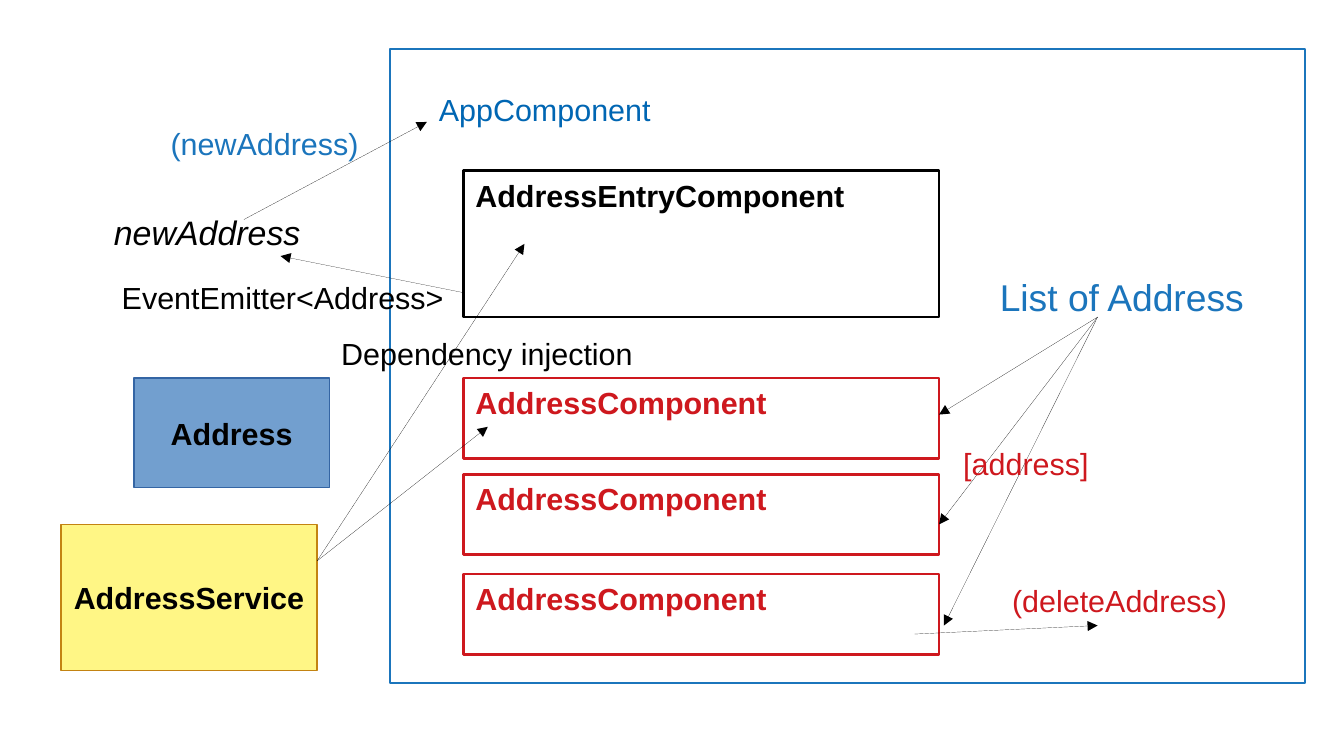
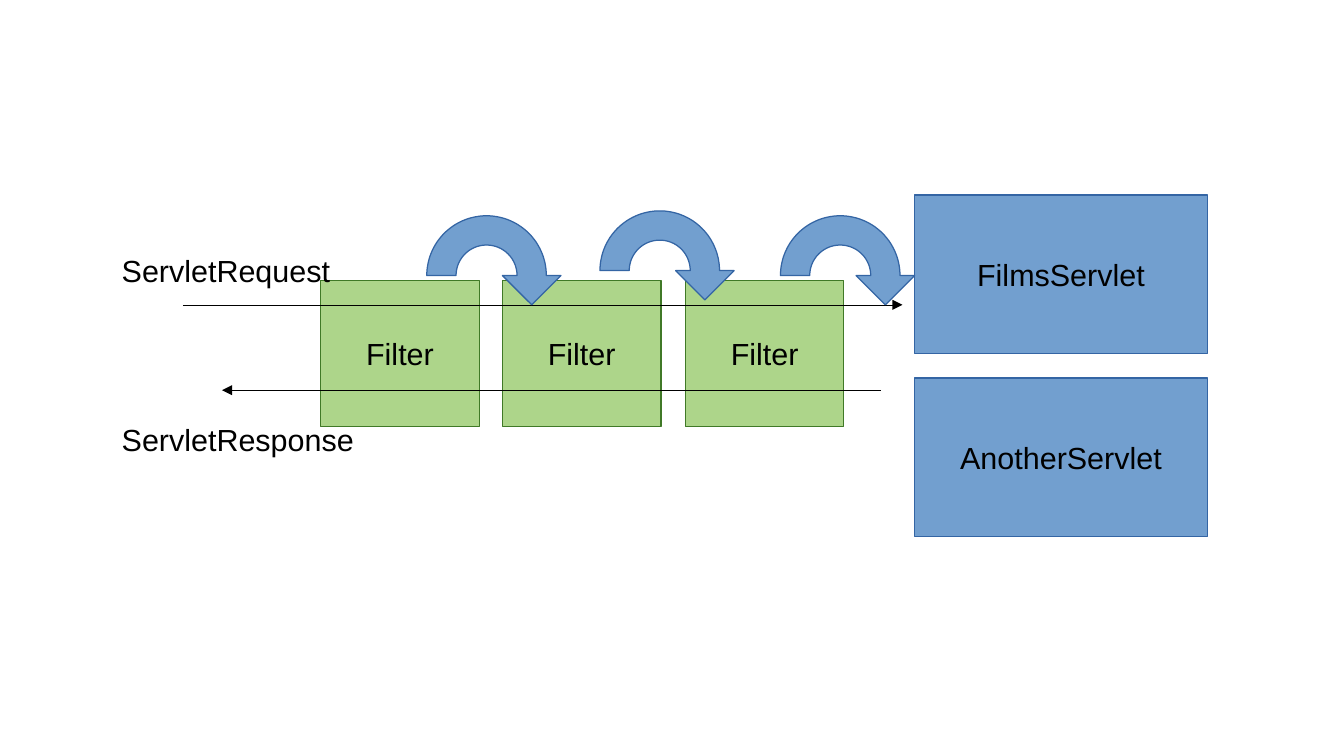
from math import cos, radians, sin

from lxml.etree import SubElement
from pptx import Presentation
from pptx.dml.color import RGBColor
from pptx.enum.shapes import MSO_CONNECTOR, MSO_SHAPE
from pptx.enum.text import MSO_ANCHOR, PP_ALIGN
from pptx.oxml.ns import qn
from pptx.util import Pt

PX = 9144
FONT = "Arial"
BLACK = RGBColor(0x00, 0x00, 0x00)
WHITE = RGBColor(0xFF, 0xFF, 0xFF)
BLUE = RGBColor(0x1B, 0x75, 0xBC)
DEEP_BLUE = RGBColor(0x00, 0x66, 0xB3)
RED = RGBColor(0xCE, 0x18, 0x1E)
STEEL = RGBColor(0x72, 0x9F, 0xCF)
STEEL_EDGE = RGBColor(0x34, 0x65, 0xA4)
YELLOW = RGBColor(0xFF, 0xF6, 0x85)
YELLOW_EDGE = RGBColor(0xC3, 0x83, 0x12)
GREEN = RGBColor(0xAD, 0xD5, 0x8A)
GREEN_EDGE = RGBColor(0x40, 0x79, 0x27)


def add_text(slide, bounds, text, color=BLACK, size=18, bold=False,
             italic=False, align=PP_ALIGN.LEFT, fill=None, edge=None):
    left, top, width, height = [length * PX for length in bounds]
    if fill is None:
        holder = slide.shapes.add_textbox(left, top, width, height)
    else:
        holder = slide.shapes.add_shape(MSO_SHAPE.RECTANGLE, left, top, width, height)
        holder.shadow.inherit = False
        holder.fill.solid()
        holder.fill.fore_color.rgb = fill
        holder.line.color.rgb = edge
        holder.line.width = Pt(0.75 if text else 1.45)
    if text:
        frame = holder.text_frame
        frame.word_wrap = fill is None
        frame.vertical_anchor = MSO_ANCHOR.TOP if fill is None else MSO_ANCHOR.MIDDLE
        paragraph = frame.paragraphs[0]
        paragraph.alignment = align
        run = paragraph.add_run()
        run.text = text
        run.font.name = FONT
        run.font.size = Pt(size)
        run.font.bold = bold
        run.font.italic = italic
        run.font.color.rgb = color


def add_arrow(slide, *ends):
    arrow = slide.shapes.add_connector(
        MSO_CONNECTOR.STRAIGHT, *[length * PX for length in ends])
    arrow.line.color.rgb = BLACK
    SubElement(arrow.line._get_or_add_ln(), qn("a:tailEnd"), type="triangle")
    SubElement(arrow.element.spPr, qn("a:effectLst"))
    arrow.element.remove(arrow.element.find(qn("p:style")))


deck = Presentation()
deck.slide_width = 1102 * PX
deck.slide_height = 620 * PX
blank = deck.slide_layouts[6]

components = deck.slides.add_slide(blank)
add_text(components, (320, 40, 750, 520), "", fill=WHITE, edge=BLUE)
add_text(components, (350, 70, 300, 94), "AppComponent", DEEP_BLUE)

for top, height, name, color in (
    (140, 120, "AddressEntryComponent", BLACK),
    (310, 66, "AddressComponent", RED),
    (389, 66, "AddressComponent", RED),
    (471, 66, "AddressComponent", RED),
):
    add_text(components, (380, top, 390, height), "", fill=WHITE, edge=color)
    add_text(components, (380, top, 370, 66), name, color, bold=True)

add_text(components, (110, 310, 160, 90), "Address", bold=True,
         align=PP_ALIGN.CENTER, fill=STEEL, edge=STEEL_EDGE)
add_text(components, (50, 430, 210, 120), "AddressService", bold=True,
         align=PP_ALIGN.CENTER, fill=YELLOW, edge=YELLOW_EDGE)

for ends in (
    (380, 240, 230, 210),
    (200, 180, 350, 100),
    (900, 260, 770, 430),
    (900, 260, 774, 513),
    (900, 260, 770, 340),
    (750, 520, 900, 513),
    (260, 460, 430, 200),
    (260, 460, 400, 350),
):
    add_arrow(components, *ends)

add_text(components, (30, 169, 280, 41), "newAddress", size=20, italic=True,
         align=PP_ALIGN.CENTER)
add_text(components, (810, 220, 240, 78), "List of Address", BLUE, size=22)
for bounds, label, color in (
    ((90, 224, 320, 66), "EventEmitter<Address>", BLACK),
    ((130, 98, 320, 66), "(newAddress)", BLUE),
    ((780, 360, 210, 38), "[address]", RED),
    ((820, 472, 210, 38), "(deleteAddress)", RED),
    ((270, 270, 310, 38), "Dependency injection", BLACK),
):
    add_text(components, bounds, label, color)

filters = deck.slides.add_slide(blank)
for left in (263, 412, 562):
    add_text(filters, (left, 230, 130, 120), "Filter", align=PP_ALIGN.CENTER,
             fill=GREEN, edge=GREEN_EDGE)
for top, servlet in ((160, "FilmsServlet"), (310, "AnotherServlet")):
    add_text(filters, (750, top, 240, 130), servlet, align=PP_ALIGN.CENTER,
             fill=STEEL, edge=STEEL_EDGE)

add_arrow(filters, 150, 250, 740, 250)
add_arrow(filters, 722, 320, 182, 320)
for top, message in ((202, "ServletRequest"), (340, "ServletResponse")):
    add_text(filters, (90, top, 530, 38), message)

OUTER, INNER = 49, 25
for left, top in ((350, 178), (492, 174), (640, 178)):
    center_x, center_y = left + OUTER, top + 48
    outline = [(center_x + INNER * cos(radians(angle)),
                center_y - INNER * sin(radians(angle))) for angle in range(0, 181, 3)]
    outline += [(center_x + OUTER * cos(radians(angle)),
                 center_y - OUTER * sin(radians(angle))) for angle in range(180, -1, -3)]
    outline += [(left + 110, center_y), (left + 86, center_y + 24), (left + 62, center_y)]
    corners = [(round(x * PX), round(y * PX)) for x, y in outline]
    builder = filters.shapes.build_freeform(*corners[0])
    builder.add_line_segments(corners[1:], close=True)
    hop = builder.convert_to_shape()
    hop.shadow.inherit = False
    hop.fill.solid()
    hop.fill.fore_color.rgb = STEEL
    hop.line.color.rgb = STEEL_EDGE
    hop.line.width = Pt(0.75)

deck.save("out.pptx")
